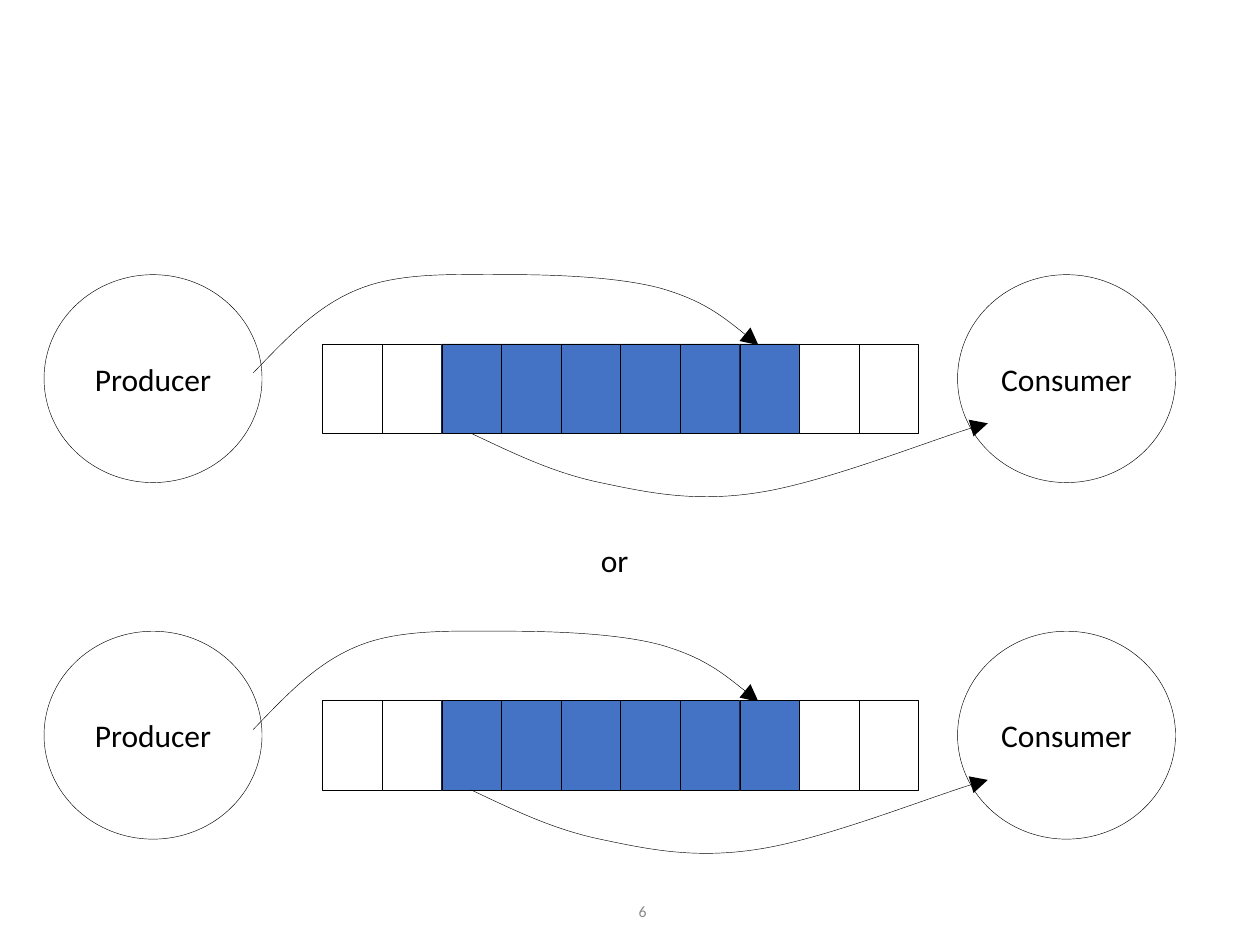
from dataclasses import dataclass

from lxml import etree
from pptx import Presentation
from pptx.dml.color import RGBColor
from pptx.enum import shapes, text
from pptx.oxml.ns import qn
from pptx.util import Inches, Pt


@dataclass(frozen=True)
class Theme:
    ink: RGBColor = RGBColor(0x00, 0x00, 0x00)
    full_cell: RGBColor = RGBColor(0x44, 0x72, 0xC4)
    page_number: RGBColor = RGBColor(0x89, 0x89, 0x89)
    font: str = "Calibri"
    label_size: Pt = Pt(18)
    page_number_size: Pt = Pt(9)
    outline: Pt = Pt(0.25)


THEME = Theme()

# Positions below are relative to the top of one diagram.
DIAGRAM_TOPS = (2.16, 4.99)
CELL_COUNT = 10
FULL_CELLS = range(2, 8)
BUFFER_LEFT, BUFFER_TOP = 2.56, 0.57
CELL_WIDTH, CELL_HEIGHT = 0.473, 0.71

# Start point, then two control points and an end point for each curve.
PRODUCE_CURVE = [
    (2.01, 0.8),
    (2.27, 0.53), (2.52, 0.26), (2.86, 0.13),
    (3.19, 0), (3.62, 0.02), (4.02, 0.02),
    (4.42, 0.02), (4.92, 0.04), (5.25, 0.13),
    (5.59, 0.23), (5.8, 0.4), (6.02, 0.58),
]
CONSUME_CURVE = [
    (3.74, 1.28),
    (4.06, 1.43), (4.38, 1.59), (4.76, 1.67),
    (5.14, 1.75), (5.51, 1.83), (6.02, 1.75),
    (6.54, 1.67), (7.55, 1.27), (7.84, 1.2),
]


def style_outline(shape, fill=None):
    shape.shadow.inherit = False
    if fill is None:
        shape.fill.background()
    else:
        shape.fill.solid()
        shape.fill.fore_color.rgb = fill
    shape.line.color.rgb = THEME.ink
    shape.line.width = THEME.outline


def write(shape, wording, size, color, align):
    frame = shape.text_frame
    frame.word_wrap = False
    frame.vertical_anchor = text.MSO_ANCHOR.MIDDLE
    paragraph = frame.paragraphs[0]
    paragraph.text = wording
    paragraph.alignment = align
    paragraph.font.name = THEME.font
    paragraph.font.size = size
    paragraph.font.color.rgb = color


def add_label(slide, wording, box, size, color, align):
    label = slide.shapes.add_textbox(*map(Inches, box))
    write(label, wording, size, color, align)


def add_actor(slide, name, left, top):
    actor = slide.shapes.add_shape(
        shapes.MSO_SHAPE.OVAL, Inches(left), Inches(top), Inches(1.73), Inches(1.65))
    style_outline(actor)
    write(actor, name, THEME.label_size, THEME.ink, text.PP_ALIGN.CENTER)


def add_buffer(slide, top):
    for index in range(CELL_COUNT):
        cell = slide.shapes.add_shape(
            shapes.MSO_SHAPE.RECTANGLE,
            Inches(BUFFER_LEFT + index * CELL_WIDTH), Inches(top),
            Inches(CELL_WIDTH), Inches(CELL_HEIGHT))
        style_outline(cell, THEME.full_cell if index in FULL_CELLS else None)


def add_curved_arrow(slide, points, top):
    """Draw a chain of cubic curves that ends in an arrowhead."""
    start, *rest = [(Inches(x), Inches(top + y)) for x, y in points]
    builder = slide.shapes.build_freeform(*start)
    builder.add_line_segments(rest, close=False)
    arrow = builder.convert_to_shape()
    style_outline(arrow)

    # Gather each three straight segments into one cubic curve.
    segments = list(arrow._element.iter(qn("a:lnTo")))
    for first in range(0, len(segments), 3):
        curve = etree.Element(qn("a:cubicBezTo"))
        segments[first].addprevious(curve)
        for segment in segments[first:first + 3]:
            curve.append(segment[0])
            segment.getparent().remove(segment)

    line = arrow._element.spPr.find(qn("a:ln"))
    etree.SubElement(line, qn("a:tailEnd"), type="triangle", w="lg", len="lg")


def add_diagram(slide, top):
    add_actor(slide, "Producer", 0.35, top + 0.02)
    add_actor(slide, "Consumer", 7.6, top + 0.02)
    add_curved_arrow(slide, PRODUCE_CURVE, top)
    add_buffer(slide, top + BUFFER_TOP)
    add_curved_arrow(slide, CONSUME_CURVE, top)


def main():
    deck = Presentation()
    deck.slide_width, deck.slide_height = Inches(10), Inches(7.5)
    slide = deck.slides.add_slide(deck.slide_layouts[6])

    for top in DIAGRAM_TOPS:
        add_diagram(slide, top)
    add_label(slide, "or", (4.67, 4.24, 0.42, 0.4),
              THEME.label_size, THEME.ink, text.PP_ALIGN.LEFT)
    add_label(slide, "6", (4.19, 7.06, 1.04, 0.34),
              THEME.page_number_size, THEME.page_number, text.PP_ALIGN.RIGHT)

    deck.save("out.pptx")


if __name__ == "__main__":
    main()
